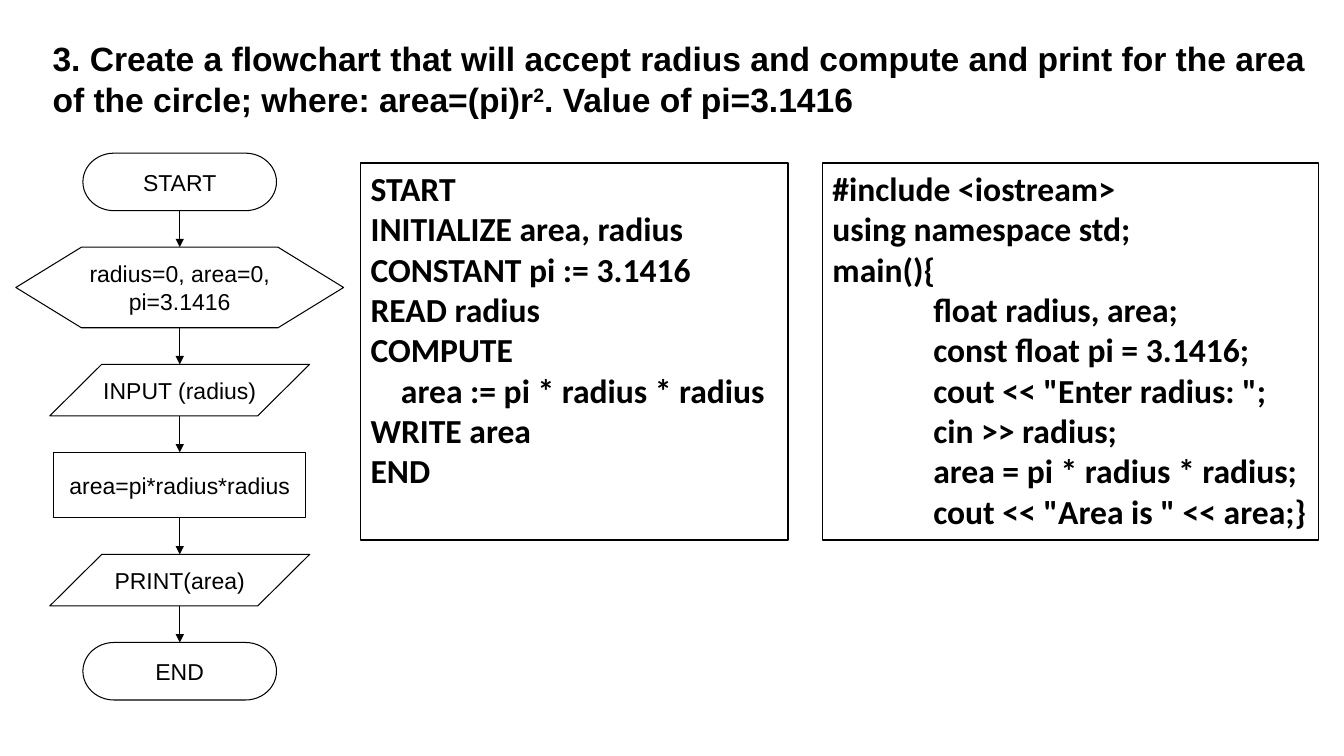
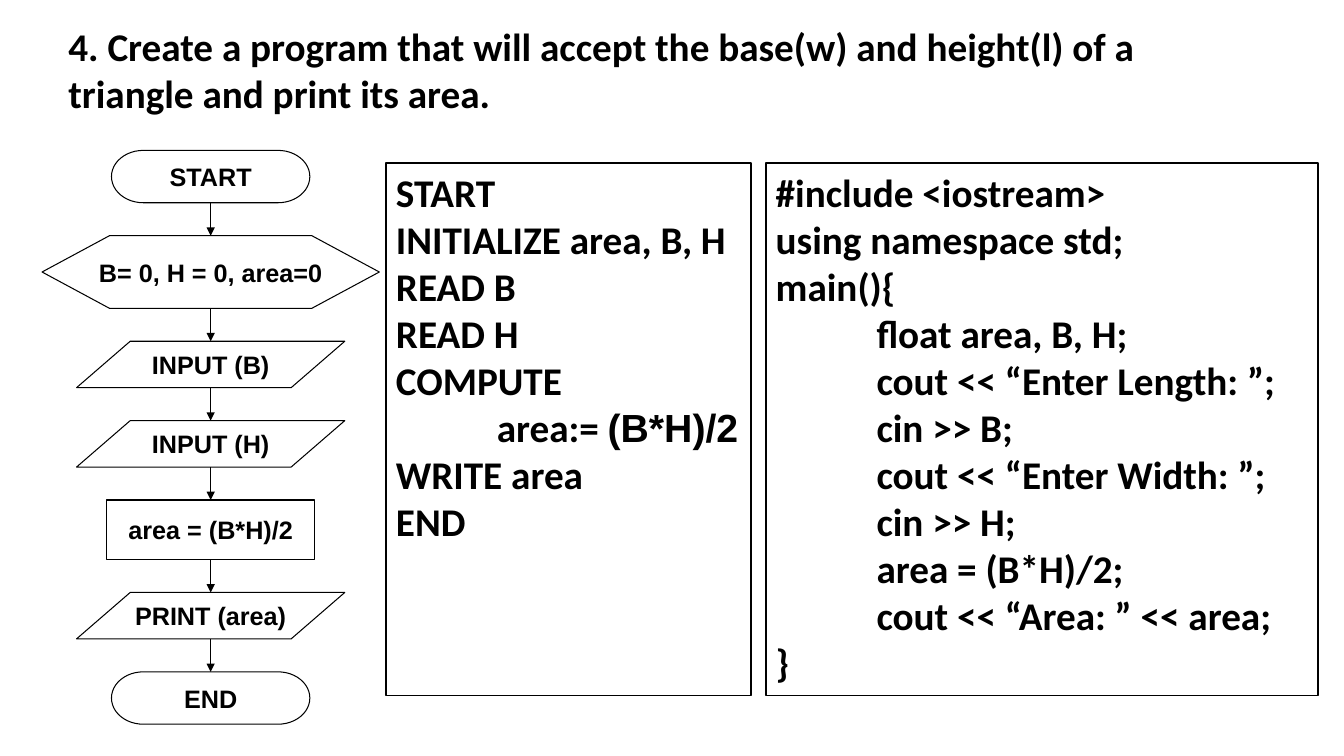
from lxml.etree import SubElement
from pptx import Presentation
from pptx.dml.color import RGBColor
from pptx.enum.shapes import MSO_CONNECTOR as CX, MSO_SHAPE as SH
from pptx.enum.text import MSO_ANCHOR as ANCHOR, MSO_AUTO_SIZE as FIT, PP_ALIGN as AL
from pptx.oxml.ns import qn
from pptx.util import Cm, Pt

BLACK = RGBColor(0x00, 0x00, 0x00)
WHITE = RGBColor(0xFF, 0xFF, 0xFF)
TERM, PREP = SH.FLOWCHART_TERMINATOR, SH.FLOWCHART_PREPARATION
DATA, PROC = SH.FLOWCHART_DATA, SH.FLOWCHART_PROCESS
CODE_TOP = 4.11
TAB = Cm(2.54)

PROBLEMS = [
    {
        "title": [
            ("3. Create a flowchart that will accept radius and compute and print "
             "for the area of the circle; where: area=(pi)r", {}),
            ("2", {"baseline": 30000}),
            (". Value of pi=3.1416", {}),
        ],
        "title_box": (1.07, 0.84, 32.82, 2.31),
        "title_font": {"name": "Arial", "size": Pt(24)},
        "flow": {
            "axis": 4.53, "top": 3.86, "gap": 0.92,
            "sizes": {TERM: (4.88, 1.45), PREP: (8.26, 2.03),
                      DATA: (6.55, 1.3), PROC: (6.35, 1.65)},
            "font": {"name": "Arial", "size": Pt(16.4), "bold": False},
            "steps": [
                (TERM, ["START"]),
                (PREP, ["radius=0, area=0,", "pi=3.1416"]),
                (DATA, ["INPUT (radius)"]),
                (PROC, ["area=pi*radius*radius"]),
                (DATA, ["PRINT(area)"]),
                (TERM, ["END"]),
            ],
        },
        "code_height": 9.5,
        "code_size": Pt(24),
        "code": [
            (9.09, 10.77, [
                "START",
                "INITIALIZE area, radius",
                "CONSTANT pi := 3.1416",
                "READ radius",
                "COMPUTE",
                "    area := pi * radius * radius",
                "WRITE area",
                "END",
            ]),
            (20.73, 12.5, [
                "#include <iostream>",
                "using namespace std;",
                "main(){",
                "\tfloat radius, area;",
                "\tconst float pi = 3.1416;",
                '\tcout << "Enter radius: ";',
                "\tcin >> radius;",
                "\tarea = pi * radius * radius;",
                '\tcout << "Area is " << area;}',
            ]),
        ],
    },
    {
        "title": "4. Create a program that will accept the base(w) and height(l) "
                 "of a triangle and print its area.",
        "title_box": (1.47, 0.43, 30.68, 2.64),
        "title_font": {"name": "Calibri", "size": Pt(28)},
        "flow": {
            "axis": 5.31, "top": 3.79, "gap": 0.83,
            "sizes": {TERM: (5, 1.32), PREP: (8.5, 1.83),
                      DATA: (6.76, 1.17), PROC: (5.23, 1.5)},
            "font": {"name": "Arial", "size": Pt(18), "bold": True},
            "steps": [
                (TERM, ["START"]),
                (PREP, ["B= 0, H = 0, area=0"]),
                (DATA, ["INPUT (B)"]),
                (DATA, ["INPUT (H)"]),
                (PROC, ["area = (B*H)/2"]),
                (DATA, ["PRINT (area)"]),
                (TERM, ["END"]),
            ],
        },
        "code_height": 13.41,
        "code_size": Pt(28),
        "code": [
            (9.73, 9.2, [
                "START",
                "INITIALIZE area, B, H",
                "READ B",
                "READ H",
                "COMPUTE",
                [("\tarea:= ", {}), ("(B*H)/2", {"name": "Arial"})],
                "WRITE area",
                "END",
            ]),
            (19.3, 13.92, [
                "#include <iostream>",
                "using namespace std;",
                "main(){",
                "\tfloat area, B, H;",
                "\tcout << “Enter Length: ”;",
                "\tcin >> B;",
                "\tcout << “Enter Width: ”;",
                "\tcin >> H;",
                "\tarea = (B*H)/2;",
                "\tcout << “Area: ” << area;",
                "}",
            ]),
        ],
    },
]


def set_attrs(obj, values):
    """Set every attribute named in a dict."""
    for name, value in values.items():
        setattr(obj, name, value)


def write_lines(tf, lines, font, align):
    """Fill a text frame, one paragraph a line."""
    for i, line in enumerate(lines):
        p = tf.paragraphs[0] if i == 0 else tf.add_paragraph()
        set_attrs(p, {"alignment": align, "space_before": Pt(0)})
        runs = [(line, {})] if isinstance(line, str) else line
        if runs[0][0].startswith("\t"):
            tabs = SubElement(p._p.get_or_add_pPr(), qn("a:tabLst"))
            SubElement(tabs, qn("a:tab"), pos=str(TAB), algn="l")
        for text, extra in runs:
            r = p.add_run()
            r.text = text
            values = {**font, **extra}
            baseline = values.pop("baseline", None)
            set_attrs(r.font, values)
            r.font.color.rgb = BLACK
            if baseline:
                r._r.get_or_add_rPr().set("baseline", str(baseline))


def add_outlined(shapes, kind, box, width):
    """Add an unfilled, black-outlined shape."""
    sp = shapes.add_shape(kind, *map(Cm, box))
    sp.shadow.inherit = False
    sp.fill.background()
    sp.line.color.rgb = BLACK
    sp.line.width = width
    return sp


def add_arrow(shapes, x, y1, y2):
    """Add a downward arrow."""
    cx = shapes.add_connector(CX.STRAIGHT, Cm(x), Cm(y1), Cm(x), Cm(y2))
    cx.line.color.rgb = BLACK
    cx.line.width = Pt(0.75)
    SubElement(cx.line._get_or_add_ln(), qn("a:tailEnd"), type="triangle")
    SubElement(cx._element.spPr, qn("a:effectLst"))


def add_title(s, text, box, font):
    """Place and fill the title placeholder."""
    sp = s.shapes.title
    set_attrs(sp, dict(zip(("left", "top", "width", "height"), map(Cm, box))))
    tf = sp.text_frame
    set_attrs(tf, {"word_wrap": True, "auto_size": FIT.NONE,
                   "vertical_anchor": ANCHOR.TOP})
    write_lines(tf, [text], {**font, "bold": True}, AL.LEFT)


def add_flowchart(s, axis, top, gap, sizes, font, steps):
    """Stack the steps down an axis and join them with arrows."""
    shapes = s.shapes.add_group_shape().shapes
    y = top
    for i, (kind, lines) in enumerate(steps):
        w, h = sizes[kind]
        if i:
            add_arrow(shapes, axis, y, y + gap)
            y += gap
        sp = add_outlined(shapes, kind, (axis - w / 2, y, w, h), Pt(0.75))
        tf = sp.text_frame
        set_attrs(tf, {"word_wrap": False, "vertical_anchor": ANCHOR.MIDDLE})
        write_lines(tf, lines, font, AL.CENTER)
        y += h


def add_code_box(s, box, lines, size):
    """Add a framed code listing."""
    sp = add_outlined(s.shapes, SH.RECTANGLE, box, Pt(1))
    sp.fill.solid()
    sp.fill.fore_color.rgb = WHITE
    tf = sp.text_frame
    set_attrs(tf, {"word_wrap": True, "vertical_anchor": ANCHOR.TOP})
    font = {"name": "Calibri", "size": size, "bold": True}
    write_lines(tf, lines, font, AL.LEFT)


def add_problem_slide(prs, problem):
    """Build a slide with a title, a flowchart and two listings."""
    s = prs.slides.add_slide(prs.slide_layouts[5])
    add_title(s, problem["title"], problem["title_box"], problem["title_font"])
    add_flowchart(s, **problem["flow"])
    for left, width, lines in problem["code"]:
        box = (left, CODE_TOP, width, problem["code_height"])
        add_code_box(s, box, lines, problem["code_size"])


def main():
    """Build and save the presentation."""
    prs = Presentation()
    set_attrs(prs, {"slide_width": Cm(33.87), "slide_height": Cm(19.05)})
    for problem in PROBLEMS:
        add_problem_slide(prs, problem)
    prs.save("out.pptx")


if __name__ == "__main__":
    main()
